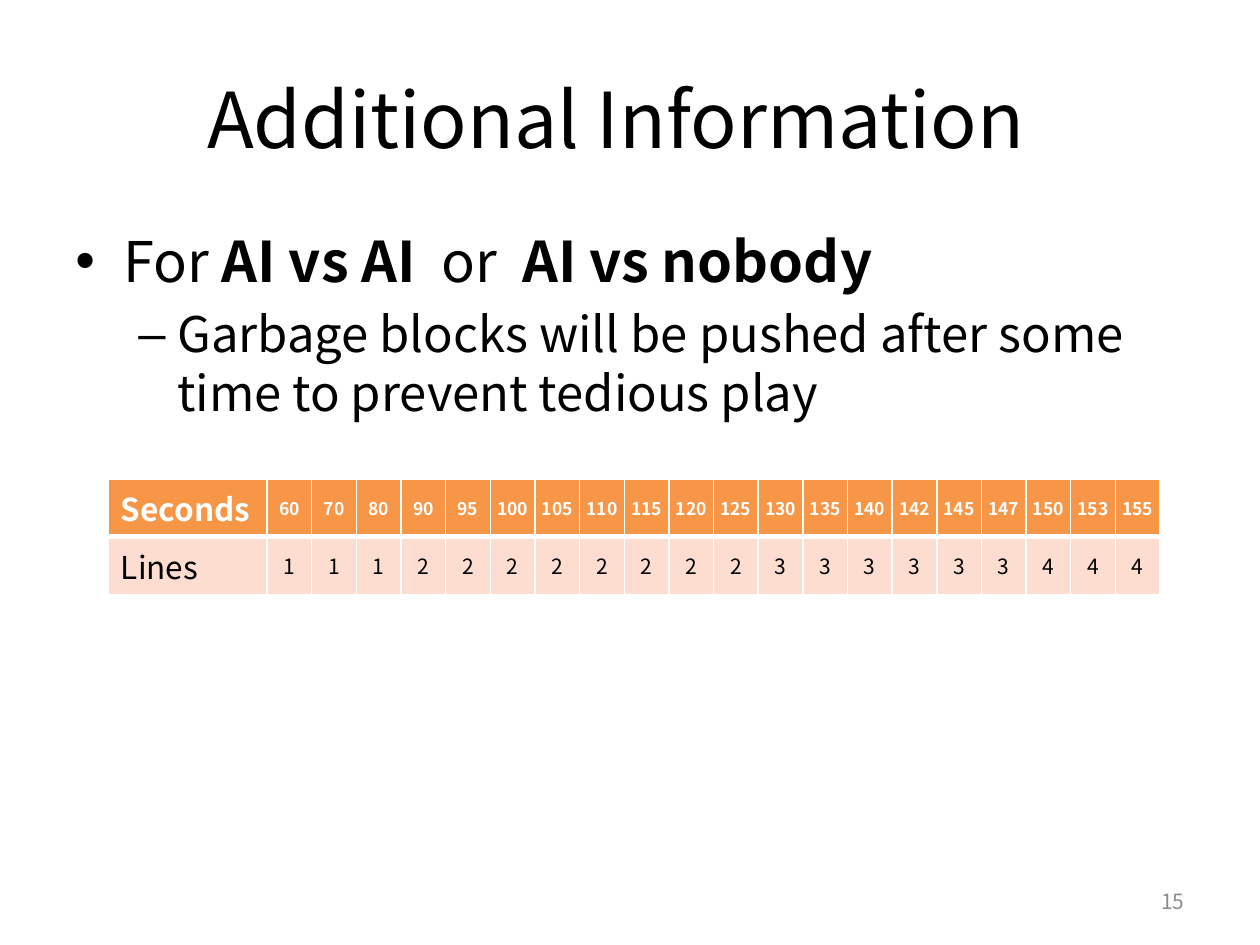
from lxml.etree import SubElement
from pptx import Presentation
from pptx.dml.color import RGBColor
from pptx.enum.text import MSO_ANCHOR as Anchor, PP_ALIGN as Align
from pptx.oxml.ns import qn
from pptx.util import Inches, Pt

FONT = "Noto Sans CJK KR"
SECONDS = [60, 70, 80, 90, 95, 100, 105, 110, 115, 120, 125,
           130, 135, 140, 142, 145, 147, 150, 153, 155]
LINES = [1] * 3 + [2] * 8 + [3] * 6 + [4] * 3


def color(value):
    return RGBColor.from_string(value)


def write(paragraph, text, size=18, fill="000000", bold=False, align=Align.LEFT):
    paragraph.alignment = align
    run = paragraph.add_run()
    run.text = text
    run.font.name = FONT
    run.font.size = Pt(size)
    run.font.bold = bold
    run.font.color.rgb = color(fill)


def add_frame(slide, box, anchor=Anchor.MIDDLE):
    frame = slide.shapes.add_textbox(*map(Inches, box)).text_frame
    frame.word_wrap = True
    frame.vertical_anchor = anchor
    return frame


def add_line(slide, box, text, **style):
    write(add_frame(slide, box).paragraphs[0], text, **style)


def set_bullet(paragraph, mark, margin, hang, before):
    paragraph.space_before = Pt(before)
    properties = paragraph._p.get_or_add_pPr()
    properties.set("marL", str(Inches(margin)))
    properties.set("indent", str(-Inches(hang)))
    SubElement(properties, qn("a:buFont"), typeface="Arial")
    SubElement(properties, qn("a:buChar"), char=mark)


def add_body(slide, box):
    frame = add_frame(slide, box, Anchor.TOP)
    modes = frame.paragraphs[0]
    set_bullet(modes, "•", 0.38, 0.38, 6.4)
    for text, bold in [("For", False), (" AI vs AI", True),
                       ("  or  ", False), ("AI vs nobody", True)]:
        write(modes, text, size=32, bold=bold)
    rule = frame.add_paragraph()
    rule.level = 1
    set_bullet(rule, "–", 0.81, 0.31, 5.6)
    write(rule, "Garbage blocks will be pushed after some time to prevent tedious play",
          size=28)


def set_borders(cell, widths):
    properties = cell._tc.get_or_add_tcPr()
    for side, width in zip("LRTB", widths):
        border = SubElement(properties, qn(f"a:ln{side}"), w=str(Pt(width)))
        SubElement(SubElement(border, qn("a:solidFill")), qn("a:srgbClr"), val="FFFFFF")


def add_schedule(slide, box, label_width=1.26):
    left, top, width, height = box
    rows = [
        ("Seconds", SECONDS, "F79646", (1, 1, 1, 3), 0.05,
         dict(fill="FFFFFF", bold=True), 10),
        ("Lines", LINES, "FCDDCF", (1, 1, 3, 1), 0.1, {}, 12),
    ]
    table = slide.shapes.add_table(len(rows), len(SECONDS) + 1, *map(Inches, box)).table
    for index, column in enumerate(table.columns):
        column.width = Inches((width - label_width) / len(SECONDS) if index else label_width)
    for row, (label, values, back, borders, inset, style, size) in enumerate(rows):
        for column, value in enumerate([label, *values]):
            cell = table.cell(row, column)
            set_borders(cell, borders)
            cell.fill.solid()
            cell.fill.fore_color.rgb = color(back)
            paragraph = cell.text_frame.paragraphs[0]
            if column == 0:
                write(paragraph, value, **style)
                continue
            cell.vertical_anchor = Anchor.MIDDLE
            cell.margin_left = cell.margin_right = Inches(inset)
            cell.margin_top = cell.margin_bottom = Inches(0.05)
            write(paragraph, str(value), size=size, align=Align.CENTER, **style)


def main():
    deck = Presentation()
    deck.slide_width, deck.slide_height = Inches(10), Inches(7.5)
    slide = deck.slides.add_slide(deck.slide_layouts[6])
    add_line(slide, (0.39, 0.31, 9, 1.25), "Additional Information",
             size=44, align=Align.CENTER)
    add_body(slide, (0.5, 1.75, 9, 4.95))
    add_schedule(slide, (0.86, 3.8, 8.35, 0.92))
    add_line(slide, (7.17, 6.95, 2.33, 0.4), "15",
             size=12, fill="8C8C8C", align=Align.RIGHT)
    deck.save("out.pptx")


if __name__ == "__main__":
    main()
